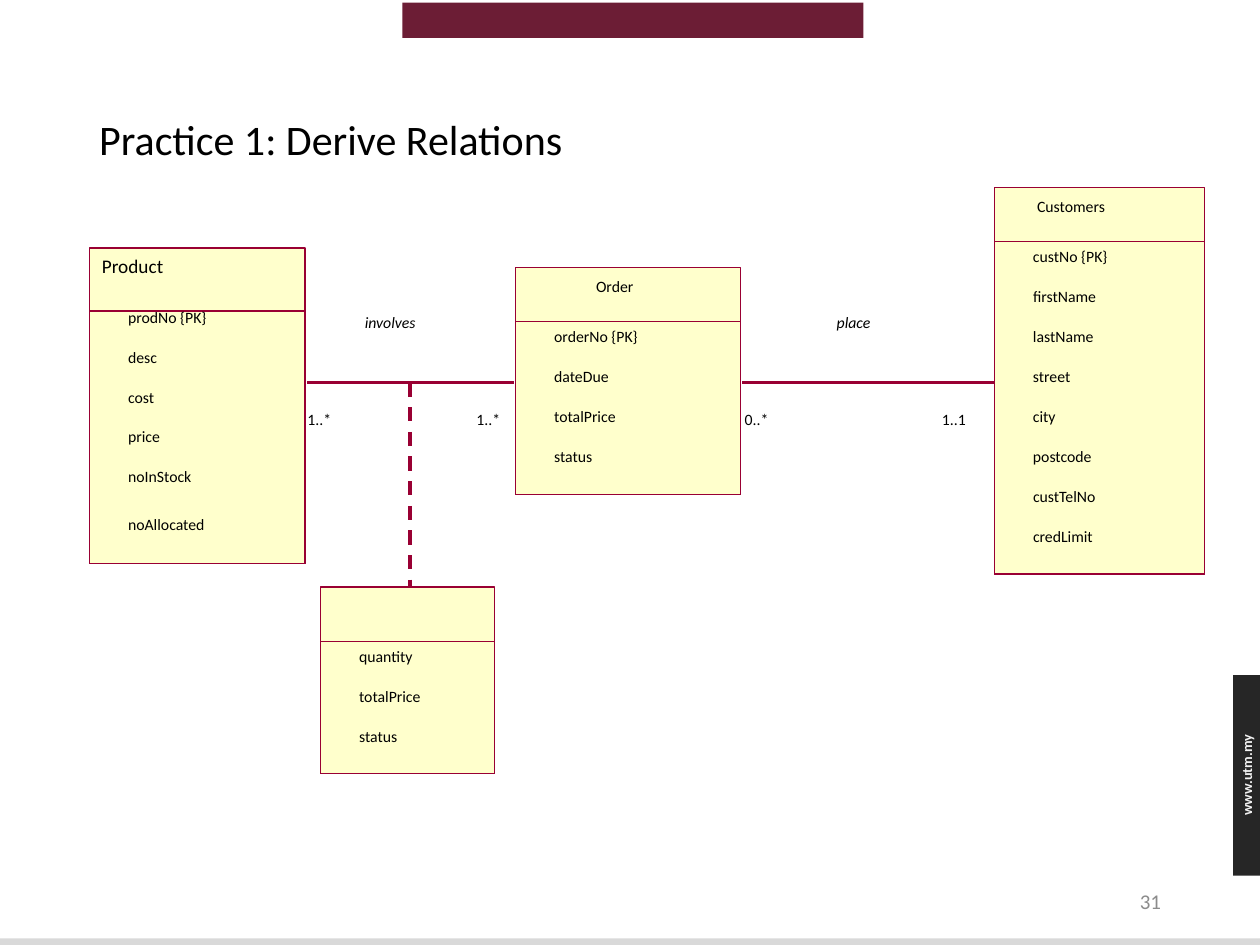
"""Build the class diagram slide for the relation practice."""
from dataclasses import dataclass

from lxml import etree
from pptx import Presentation
from pptx.dml.color import RGBColor
from pptx.enum.dml import MSO_LINE
from pptx.enum.shapes import MSO_CONNECTOR, MSO_SHAPE
from pptx.enum.text import MSO_ANCHOR, PP_ALIGN
from pptx.oxml.ns import qn
from pptx.util import Pt

RECTANGLE, STRAIGHT, DASH = MSO_SHAPE.RECTANGLE, MSO_CONNECTOR.STRAIGHT, MSO_LINE.DASH
LEFT, CENTER, RIGHT = PP_ALIGN.LEFT, PP_ALIGN.CENTER, PP_ALIGN.RIGHT
TOP, MIDDLE = MSO_ANCHOR.TOP, MSO_ANCHOR.MIDDLE
FONT, BLACK, CREAM, CRIMSON = "Calibri", "000000", "FFFFCC", "990033"
ROW_STEP, ROW_INDENT, LABEL_HEIGHT, CHAR_WIDTH = 22.85, 22.2, 45, 7


@dataclass
class Entity:
    left: float
    top: float
    width: float
    height: float
    header: float
    attributes: tuple[str, ...]
    name: str = ""
    name_dx: float = 0
    name_dy: float = 5.2
    name_size: float = 9
    row_offset: float = 3
    last_row_extra: float = 0


@dataclass
class Label:
    text: str
    left: float
    top: float
    size: float = 9
    italic: bool = False


@dataclass
class Link:
    x1: float
    y1: float
    x2: float
    y2: float
    dashed: bool = False


ENTITIES = (
    Entity(568.1, 107.1, 120.4, 221, 31,
           ("custNo {PK}", "firstName", "lastName", "street", "city",
            "postcode", "custTelNo", "credLimit"), "Customers", 24.5),
    Entity(294.5, 152.7, 128.5, 129.8, 31,
           ("orderNo {PK}", "dateDue", "totalPrice", "status"), "Order", 46.1),
    Entity(51, 141.8, 123.4, 180.2, 36,
           ("prodNo {PK}", "desc", "cost", "price", "noInStock", "noAllocated"),
           "Product", 7.2, 3.6, 11, -2.2, 4.5),
    Entity(183, 335.5, 99.6, 106.4, 31, ("quantity", "totalPrice", "status")),
)
LINKS = (
    Link(496.1, 218.6, 424, 218.6),
    Link(496.1, 218.6, 568.1, 218.6),
    Link(234.5, 218.6, 175.4, 218.6),
    Link(234.5, 218.6, 294, 218.6),
    Link(234.2, 218.6, 234.2, 335.5, True),
)
LABELS = (
    Label("0..*", 425.5, 234),
    Label("1..1", 538.3, 234),
    Label("1..*", 272.2, 234),
    Label("1..*", 175.7, 234),
    Label("place", 478.1, 178.8, italic=True),
    Label("involves", 208.5, 178.8, italic=True),
)


def rgb(color: str) -> RGBColor:
    return RGBColor.from_string(color)


def add_rectangle(slide, left: float, top: float, width: float, height: float,
                  fill: str = "", outline: str = "") -> None:
    rectangle = slide.shapes.add_shape(RECTANGLE, Pt(left), Pt(top), Pt(width), Pt(height))
    rectangle.shadow.inherit = False
    if fill:
        rectangle.fill.solid()
        rectangle.fill.fore_color.rgb = rgb(fill)
    else:
        rectangle.fill.background()
    if outline:
        rectangle.line.color.rgb = rgb(outline)
        rectangle.line.width = Pt(0)
    else:
        rectangle.line.fill.background()


def write(shape, text: str, size: float, color: str = BLACK, align=LEFT,
          anchor=TOP, bold: bool = False, italic: bool = False):
    frame = shape.text_frame
    frame.word_wrap = True
    frame.vertical_anchor = anchor
    paragraph = frame.paragraphs[0]
    paragraph.text = text
    paragraph.alignment = align
    font = paragraph.font
    font.name, font.size, font.bold, font.italic = FONT, Pt(size), bold, italic
    font.color.rgb = rgb(color)
    return paragraph


def add_box(slide, left: float, top: float, width: float, height: float):
    return slide.shapes.add_textbox(Pt(left), Pt(top), Pt(width), Pt(height))


def add_label(slide, label: Label) -> None:
    width = CHAR_WIDTH * len(label.text)
    box = add_box(slide, label.left, label.top, width, LABEL_HEIGHT)
    frame = box.text_frame
    frame.margin_left = frame.margin_top = frame.margin_right = frame.margin_bottom = 0
    write(box, label.text, label.size, italic=label.italic)


def add_entity(slide, entity: Entity) -> None:
    body_top = entity.top + entity.header
    add_rectangle(slide, entity.left, entity.top, entity.width, entity.height, CREAM, CRIMSON)
    add_rectangle(slide, entity.left, body_top, entity.width,
                  entity.height - entity.header, outline=CRIMSON)
    if entity.name:
        add_label(slide, Label(entity.name, entity.left + entity.name_dx,
                               entity.top + entity.name_dy, entity.name_size))
    last = len(entity.attributes) - 1
    for row, attribute in enumerate(entity.attributes):
        top = body_top + entity.row_offset + row * ROW_STEP
        if row == last:
            top += entity.last_row_extra
        add_label(slide, Label(attribute, entity.left + ROW_INDENT, top))


def add_link(slide, link: Link) -> None:
    connector = slide.shapes.add_connector(
        STRAIGHT, Pt(link.x1), Pt(link.y1), Pt(link.x2), Pt(link.y2))
    connector.line.color.rgb = rgb(CRIMSON)
    connector.line.width = Pt(0)
    if link.dashed:
        connector.line.dash_style = DASH
    etree.SubElement(connector.element.spPr, qn("a:effectLst"))


def main() -> None:
    deck = Presentation()
    deck.slide_width, deck.slide_height = Pt(720), Pt(540)
    slide = deck.slides.add_slide(deck.slide_layouts[5])

    add_rectangle(slide, 229.9, 1.5, 263.5, 20.2, "6C1D35")
    add_rectangle(slide, 0, 536.2, 720, 3.8, "D9D9D9")
    add_rectangle(slide, 704.6, 385.8, 15.4, 114.7, "262626")
    website = add_box(slide, 658.1, 434.3, 108.7, 17.3)
    website.rotation = 270
    write(website, "www.utm.my", 8.2, "F2F2F2", CENTER, bold=True)

    title = slide.shapes.title
    title.left, title.top, title.width, title.height = Pt(49.5), Pt(28.8), Pt(621), Pt(104.4)
    write(title, "Practice 1: Derive Relations", 24, anchor=MIDDLE).line_spacing = 0.9
    page_number = add_box(slide, 508.5, 500.5, 162, 28.8)
    write(page_number, "31", 12, "8C8C8C", RIGHT, MIDDLE)

    for entity in ENTITIES:
        add_entity(slide, entity)
    for link in LINKS:
        add_link(slide, link)
    for label in LABELS:
        add_label(slide, label)
    deck.save("out.pptx")


if __name__ == "__main__":
    main()
